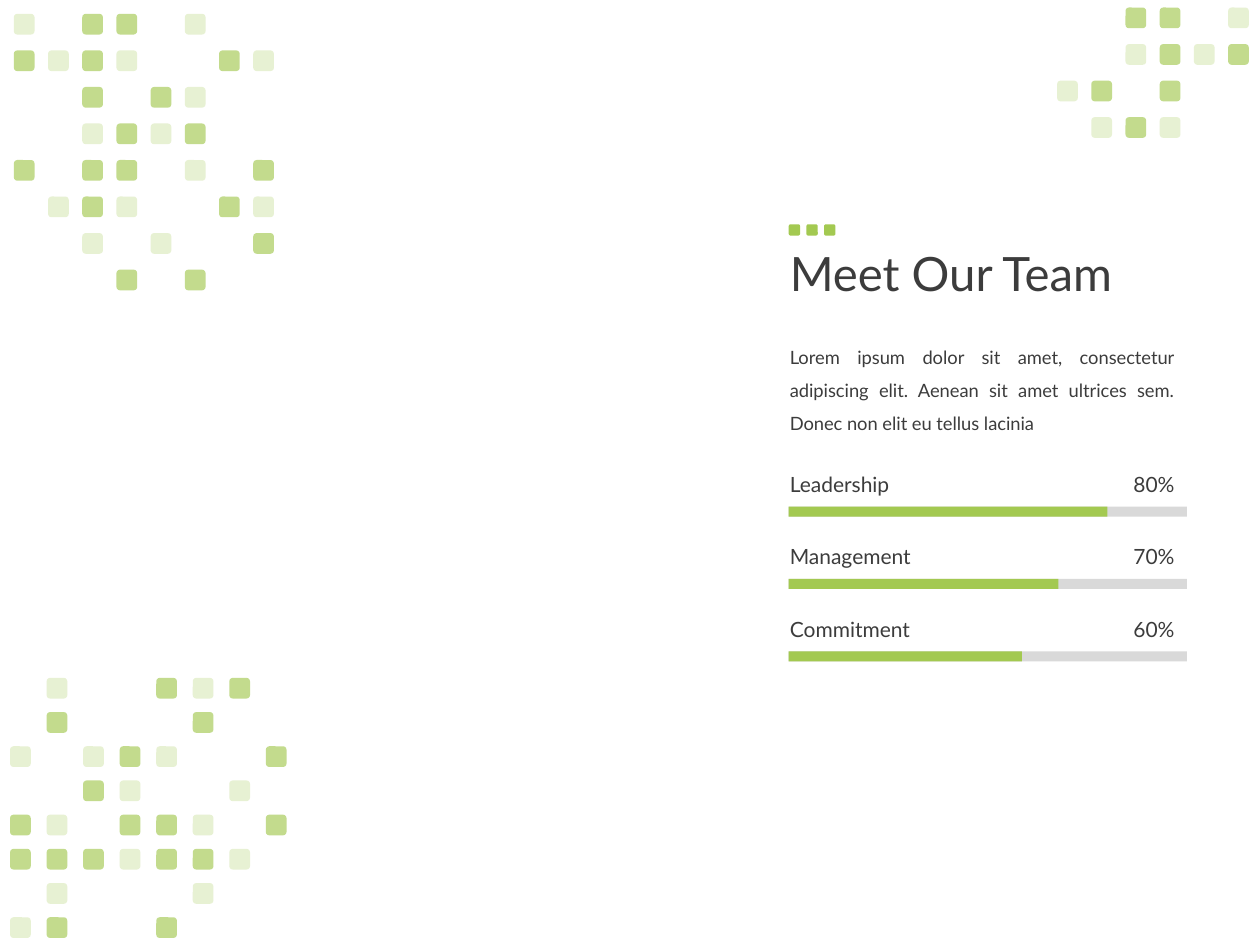
from lxml.etree import SubElement
from pptx import Presentation
from pptx.dml.color import RGBColor as Rgb
from pptx.enum.shapes import MSO_SHAPE as Form
from pptx.enum.text import MSO_ANCHOR as Anchor, PP_ALIGN as Align
from pptx.oxml.ns import qn
from pptx.util import Inches, Pt

COLORS = {"green": "A3C951", "gray": "D9D9D9", "ink": "3C3C3C"}
ALPHA = {"#": 65, "o": 25}
COLS, ROWS = 100, 75


class Deck:
    font = "Lato"

    def __init__(self, wide, high):
        self.prs = Presentation()
        self.prs.slide_width = Inches(wide)
        self.prs.slide_height = Inches(high)
        self.slide = self.prs.slides.add_slide(self.prs.slide_layouts[6])
        self.shapes = self.slide.shapes

    def place(self, x, y, w, h):
        col = self.prs.slide_width / COLS
        row = self.prs.slide_height / ROWS
        return [round(n) for n in (x * col, y * row, w * col, h * row)]

    def block(self, box, color, form=Form.RECTANGLE, alpha=100, home=None):
        shape = (home or self.shapes).add_shape(form, *self.place(*box))
        shape.shadow.inherit = False
        shape.line.fill.background()
        shape.fill.solid()
        shape.fill.fore_color.rgb = Rgb.from_string(COLORS[color])
        if alpha < 100:
            tone = shape.fill._xPr.find(qn("a:solidFill"))[0]
            SubElement(tone, qn("a:alpha"), val=str(alpha * 1000))

    def tiles(self, x, y, dx, dy, size, rows):
        home = self.shapes.add_group_shape().shapes
        for j, row in enumerate(rows):
            for i, mark in enumerate(row):
                if mark != ".":
                    box = (x + i * dx, y + j * dy, size, size)
                    self.block(box, "green", Form.ROUNDED_RECTANGLE,
                               ALPHA.get(mark, 100), home)

    def text(self, box, words, size, align=Align.LEFT,
             anchor=Anchor.MIDDLE, space=1.0):
        frame = self.shapes.add_textbox(*self.place(*box)).text_frame
        frame.word_wrap = True
        frame.vertical_anchor = anchor
        frame.text = words
        para = frame.paragraphs[0]
        para.alignment = align
        para.line_spacing = space
        font = para.runs[0].font
        font.name = self.font
        font.size = Pt(size)
        font.color.rgb = Rgb.from_string(COLORS["ink"])

    def skill(self, y, name, value, done):
        self.text((61.7, y, 15.5, 3), name, 12)
        self.text((86.3, y, 7.9, 3), value, 12, Align.RIGHT)
        self.block((62.6, y + 3.3, 31.6, 0.8), "gray")
        self.block((62.6, y + 3.3, done, 0.8), "green")

    def save(self):
        self.prs.save("out.pptx")


deck = Deck(10, 7.5)
TILE, NEAR, FAR = 1.64, 19 / 7, 2.9

deck.tiles(1.1, 1.1, NEAR, FAR, TILE, [
    "o.##.o..",
    "#o#o..#o",
    "..#.#o..",
    "..o#o#..",
    "#.##.o.#",
    ".o#o..#o",
    "..o.o..#",
    "...#.#..",
])
deck.tiles(0.8, 53.8, FAR, NEAR, TILE, [
    ".o..#o#.",
    ".#...#..",
    "o.o#o..#",
    "..#o..o.",
    "#o.##o.#",
    "###o##o.",
    ".o...o..",
    "o#..#...",
])
deck.text((61.7, 14.7, 38.3, 14.5), "Meet Our Team", 27, space=0.9)
deck.text((61.7, 26.1, 32.5, 8.6),
          "Lorem ipsum dolor sit amet, consectetur adipiscing elit. "
          "Aenean sit amet ultrices sem. Donec non elit eu tellus lacinia",
          10.5, Align.JUSTIFY, Anchor.TOP, 1.5)

SKILLS = [("Leadership", "80%", 25.3),
          ("Management", "70%", 21.4),
          ("Commitment", "60%", 18.5)]
for i, skill in enumerate(SKILLS):
    deck.skill(36.9 + 5.75 * i, *skill)

deck.tiles(83.9, 0.6, NEAR, FAR, TILE, [
    "..##.o",
    "..o#o#",
    "o#.#..",
    ".o#o..",
])
deck.tiles(62.6, 17.8, 1.4, 1.4, 0.9, ["***"])
deck.save()
